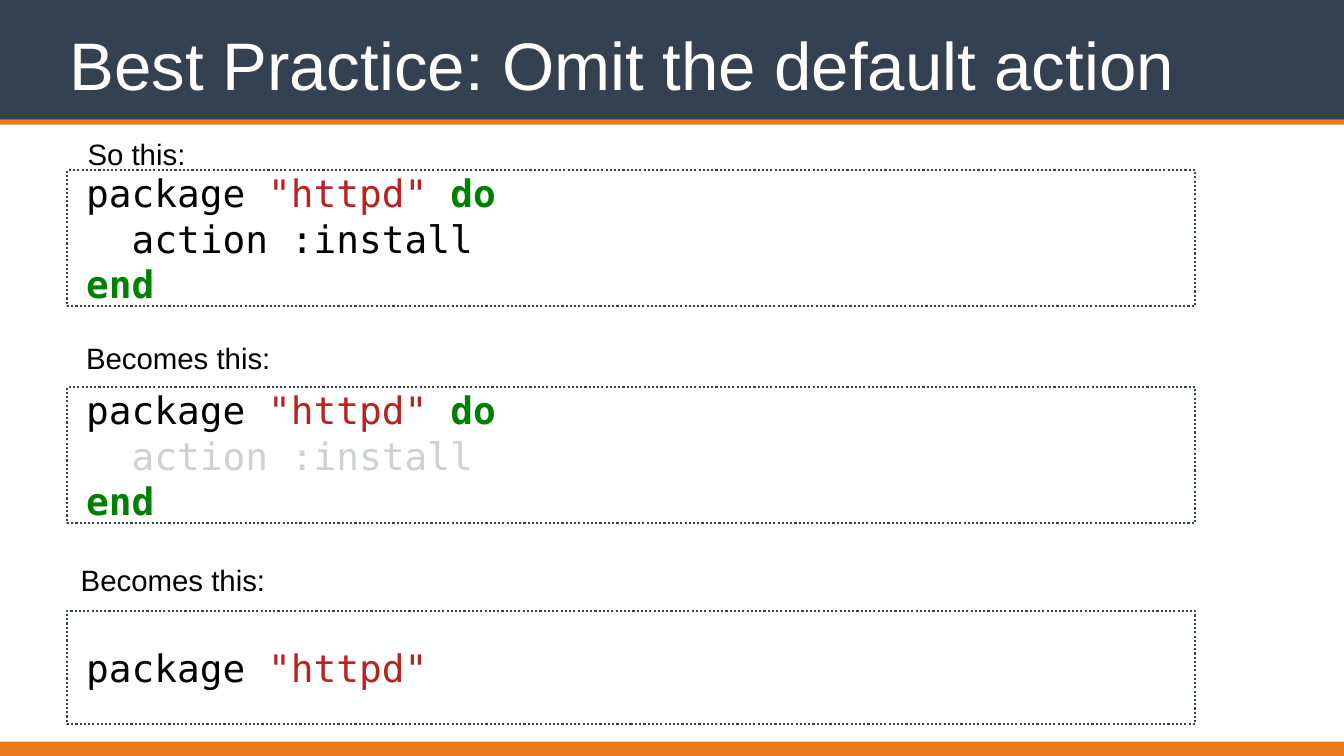
from lxml import etree
from pptx import Presentation
from pptx.dml.color import RGBColor
from pptx.enum.dml import MSO_LINE
from pptx.enum.shapes import MSO_SHAPE
from pptx.enum.text import MSO_ANCHOR, MSO_AUTO_SIZE, PP_ALIGN
from pptx.oxml import parse_xml
from pptx.util import Inches, Pt

RECTANGLE = MSO_SHAPE.RECTANGLE
DOTTED = MSO_LINE.ROUND_DOT
MIDDLE, BOTTOM = MSO_ANCHOR.MIDDLE, MSO_ANCHOR.BOTTOM
NO_FIT, GROW = MSO_AUTO_SIZE.NONE, MSO_AUTO_SIZE.SHAPE_TO_FIT_TEXT
LEFT = PP_ALIGN.LEFT

NAVY, ORANGE, WHITE, BLACK = "334150", "ED781C", "FFFFFF", "000000"
STRING_RED, KEYWORD_GREEN, FADED = "BA2121", "008000", "CED0D1"
SLIDE_WIDTH = 17.78

TITLE_SHADOW = (
    '<a:effectLst xmlns:a="http://schemas.openxmlformats.org/drawingml/2006/main">'
    '<a:outerShdw blurRad="38100" dist="38100" dir="2700000" algn="tl">'
    '<a:srgbClr val="000000"><a:alpha val="60000"/></a:srgbClr>'
    '</a:outerShdw></a:effectLst>'
)


def rgb(value):
    return RGBColor.from_string(value)


def add_run(paragraph, text, font, size, color, bold=False):
    run = paragraph.add_run()
    run.text = text
    run.font.name = font
    run.font.size = Pt(size)
    run.font.bold = bold
    run.font.color.rgb = rgb(color)
    return run


prs = Presentation()
prs.slide_width, prs.slide_height = Inches(SLIDE_WIDTH), Inches(10)
slide = prs.slides.add_slide(prs.slide_layouts[5])
shapes = slide.shapes

# Header band, its orange rule and the footer band
for top, height, color in [(0, 1.64, NAVY), (1.58, 0.07, ORANGE), (9.81, 0.19, ORANGE)]:
    band = shapes.add_shape(RECTANGLE, 0, Inches(top), Inches(SLIDE_WIDTH), Inches(height))
    band.shadow.inherit = False
    band.fill.solid()
    band.fill.fore_color.rgb = rgb(color)
    band.line.fill.background()

# Title, brought in front of the header band
title = shapes.title
title.left, title.top = Inches(0.88), Inches(0.19)
title.width, title.height = Inches(16.03), Inches(1.22)
band._element.addnext(title._element)
frame = title.text_frame
frame.auto_size = NO_FIT
frame.word_wrap = True
frame.vertical_anchor = BOTTOM
frame.margin_left = frame.margin_right = Inches(0.04)
frame.margin_top = frame.margin_bottom = Inches(0.04)
heading = frame.paragraphs[0]
heading.alignment = LEFT
title_run = add_run(heading, "Best Practice: Omit the default action", "Arial", 64, WHITE)
title_run.font.fill._xPr.find("{*}solidFill").addnext(parse_xml(TITLE_SHADOW))

# Each step: caption, its left, top and width, then code box top, height and lines
opening = [("package ", BLACK), ('"httpd" ', STRING_RED), ("do", KEYWORD_GREEN)]
closing = [("end", KEYWORD_GREEN)]
steps = [
    ("So this:", 1.06, 1.75, 1.51, 2.25, 1.8,
     [opening, [("  action :install", BLACK)], closing]),
    ("Becomes this:", 1.04, 4.45, 2.67, 5.12, 1.8,
     [opening, [("  action :install", FADED)], closing]),
    ("Becomes this:", 0.97, 7.38, 2.67, 8.08, 1.5,
     [[("package ", BLACK), ('"httpd"', STRING_RED)]]),
]

for caption, left, top, width, code_top, code_height, lines in steps:
    code_box = shapes.add_shape(RECTANGLE, Inches(0.89), Inches(code_top),
                                Inches(14.92), Inches(code_height))
    code_box.shadow.inherit = False
    code_box.fill.solid()
    code_box.fill.fore_color.rgb = rgb(WHITE)
    code_box.line.color.rgb = rgb(NAVY)
    code_box.line.width = Pt(2)
    code_box.line.dash_style = DOTTED
    frame = code_box.text_frame
    frame.word_wrap = True
    frame.vertical_anchor = MIDDLE
    frame.margin_left = frame.margin_right = Inches(0.25)
    frame.margin_top = frame.margin_bottom = Inches(0.25)
    for number, line in enumerate(lines):
        paragraph = frame.add_paragraph() if number else frame.paragraphs[0]
        paragraph.alignment = LEFT
        for text, color in line:
            add_run(paragraph, text, "DejaVu Sans Mono", 36, color, color == KEYWORD_GREEN)

    label = shapes.add_textbox(Inches(left), Inches(top), Inches(width), Inches(0.57))
    label.text_frame.word_wrap = False
    label.text_frame.auto_size = GROW
    add_run(label.text_frame.paragraphs[0], caption, "Arial", 28, BLACK)

etree.cleanup_namespaces(title._element)
prs.save("out.pptx")
